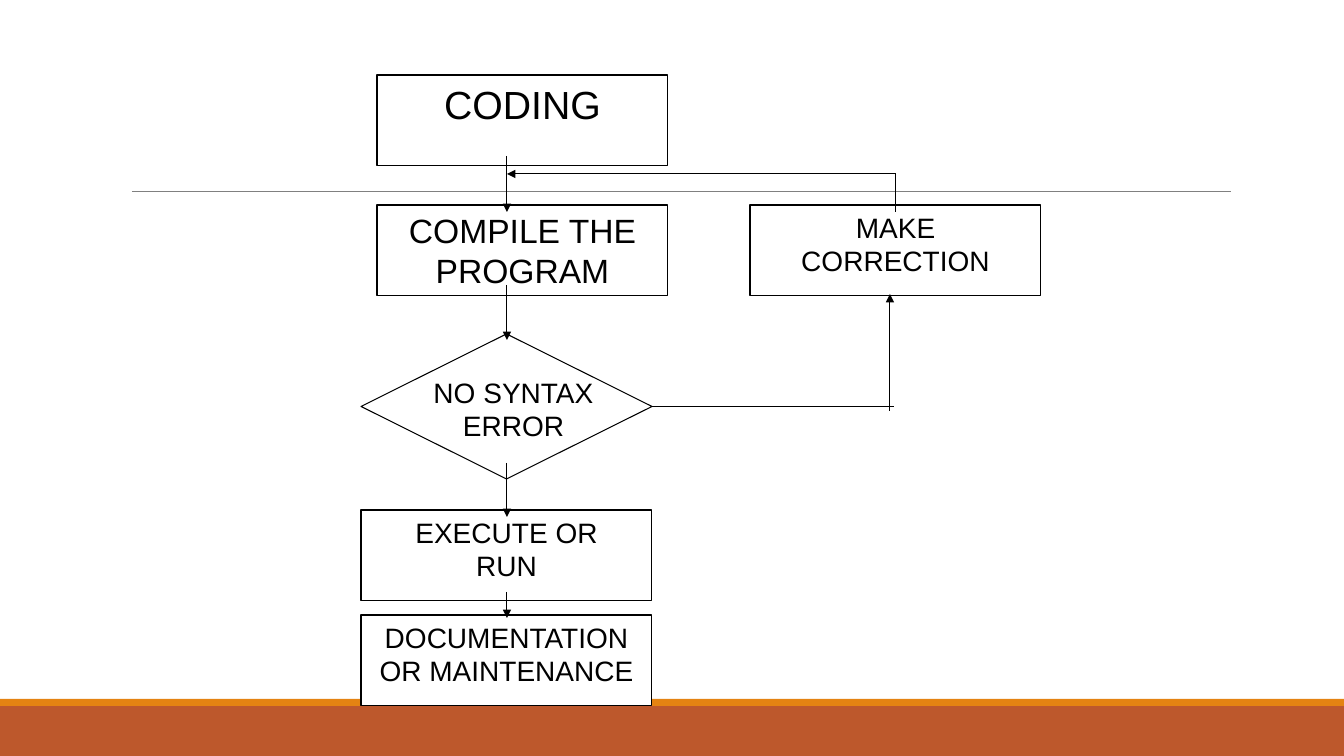
"""Build a flowchart slide of the steps from coding to maintenance."""

import dataclasses
import typing

import lxml.etree
import pptx
import pptx.dml.color
import pptx.enum.shapes
import pptx.enum.text
import pptx.oxml.ns
import pptx.util

Shape = pptx.enum.shapes.MSO_SHAPE
Color = pptx.dml.color.RGBColor

SCALE = 914400 / 100.8
PAGE_WIDTH, PAGE_HEIGHT = 1344, 756
BOX_WIDTH, BOX_HEIGHT = 291, 91
FLOW_X = 507

BLACK = Color(0x00, 0x00, 0x00)
WHITE = Color(0xFF, 0xFF, 0xFF)
GREY = Color(0x80, 0x80, 0x80)
RUST = Color(0xBD, 0x58, 0x2C)
ORANGE = Color(0xE4, 0x83, 0x12)


@dataclasses.dataclass(frozen=True)
class Block:
    left: int
    top: int
    width: int = BOX_WIDTH
    height: int = BOX_HEIGHT
    lines: tuple[str, ...] = ()
    size: int = 20
    kind: Shape = Shape.RECTANGLE
    fill: Color = WHITE
    outline: typing.Optional[Color] = BLACK


@dataclasses.dataclass(frozen=True)
class Link:
    start: tuple[int, int]
    end: tuple[int, int]
    arrow: bool = True
    color: Color = BLACK
    weight: float = 0.75


FOOTER = (
    Block(0, 706, PAGE_WIDTH, 50, fill=RUST, outline=None),
    Block(0, 699, PAGE_WIDTH, 7, fill=ORANGE, outline=None),
)
TITLE_RULE = Link((132, 191), (1231, 191), False, GREY, 0.5)
STEPS = (
    Block(361, 615, lines=("DOCUMENTATION OR MAINTENANCE",)),
    Block(361, 510, lines=("EXECUTE OR", "RUN")),
    Block(750, 205, lines=("MAKE", "CORRECTION")),
    Block(377, 205, lines=("COMPILE THE", "PROGRAM"), size=24),
    Block(377, 75, lines=("CODING",), size=28),
    Block(361, 334, height=145, kind=Shape.DIAMOND),
)
DECISION_LABEL = Block(411, 370, 205, 73, ("NO SYNTAX", "ERROR"))
LINKS = (
    Link((FLOW_X, 156), (FLOW_X, 212)),
    Link((FLOW_X, 285), (FLOW_X, 340)),
    Link((FLOW_X, 463), (FLOW_X, 517)),
    Link((FLOW_X, 592), (FLOW_X, 618)),
    Link((651, 407), (894, 407), False),
    Link((890, 411), (890, 294)),
    Link((896, 174), (FLOW_X, 174)),
    Link((896, 174), (896, 212), False),
)


def px(*lengths: int) -> list[pptx.util.Emu]:
    """Turn lengths in px into EMU."""
    return [pptx.util.Emu(round(length * SCALE)) for length in lengths]


def write_lines(frame: pptx.text.text.TextFrame, block: Block) -> None:
    """Write the lines of a block as centred paragraphs."""
    frame.word_wrap = True
    frame.vertical_anchor = pptx.enum.text.MSO_ANCHOR.TOP
    frame.margin_left, frame.margin_right = px(2, 2)
    frame.margin_top, frame.margin_bottom = px(5, 5)
    for index, line in enumerate(block.lines):
        para = frame.add_paragraph() if index else frame.paragraphs[0]
        para.text = line
        para.alignment = pptx.enum.text.PP_ALIGN.CENTER
        para.font.name = "Arial"
        para.font.size = pptx.util.Pt(block.size)
        para.font.color.rgb = BLACK


def draw_block(page: pptx.slide.Slide, block: Block) -> None:
    """Draw a filled shape with its text."""
    place = px(block.left, block.top, block.width, block.height)
    shape = page.shapes.add_shape(block.kind, *place)
    shape.shadow.inherit = False
    shape.fill.solid()
    shape.fill.fore_color.rgb = block.fill
    if block.outline is None:
        shape.line.fill.background()
    else:
        shape.line.color.rgb = block.outline
        shape.line.width = pptx.util.Pt(0.75)
    if block.lines:
        write_lines(shape.text_frame, block)


def draw_label(page: pptx.slide.Slide, block: Block) -> None:
    """Draw the text of a block without a shape around it."""
    place = px(block.left, block.top, block.width, block.height)
    write_lines(page.shapes.add_textbox(*place).text_frame, block)


def draw_link(page: pptx.slide.Slide, link: Link) -> None:
    """Draw a straight line, with an arrowhead at its end if asked."""
    straight = pptx.enum.shapes.MSO_CONNECTOR.STRAIGHT
    connector = page.shapes.add_connector(straight, *px(*link.start, *link.end))
    connector.line.color.rgb = link.color
    connector.line.width = pptx.util.Pt(link.weight)
    properties = connector.element.spPr
    if link.arrow:
        outline = properties.find(pptx.oxml.ns.qn("a:ln"))
        tail = pptx.oxml.ns.qn("a:tailEnd")
        lxml.etree.SubElement(outline, tail, type="triangle")
    lxml.etree.SubElement(properties, pptx.oxml.ns.qn("a:effectLst"))


def main() -> None:
    """Build the deck and save it."""
    deck = pptx.Presentation()
    deck.slide_width, deck.slide_height = px(PAGE_WIDTH, PAGE_HEIGHT)
    page = deck.slides.add_slide(deck.slide_layouts[6])
    for band in FOOTER:
        draw_block(page, band)
    draw_link(page, TITLE_RULE)
    for step in STEPS:
        draw_block(page, step)
    draw_label(page, DECISION_LABEL)
    for link in LINKS:
        draw_link(page, link)
    deck.save("out.pptx")


if __name__ == "__main__":
    main()
